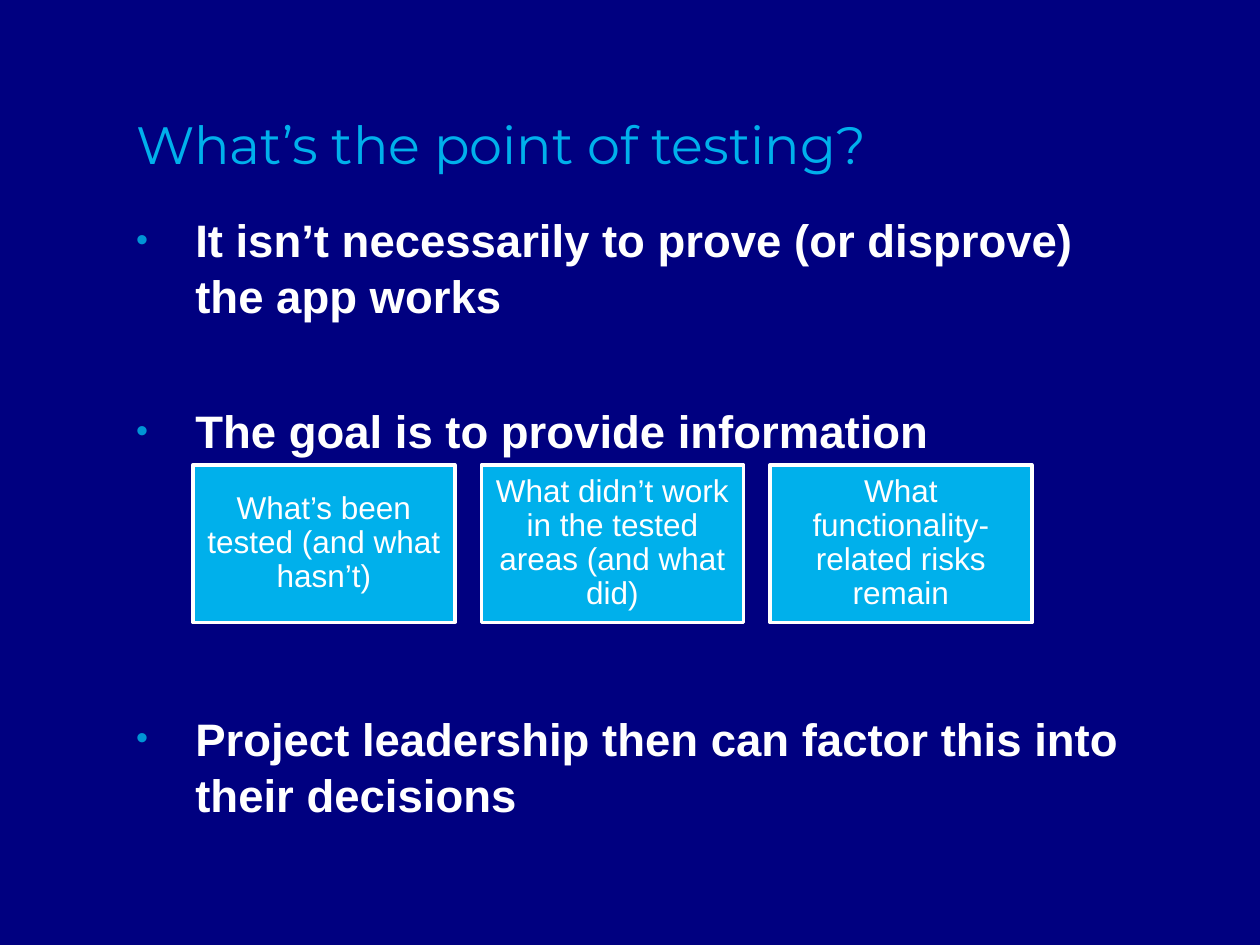
from lxml import etree
from pptx import Presentation
from pptx.dml.color import RGBColor
from pptx.enum.shapes import MSO_SHAPE
from pptx.enum.text import MSO_ANCHOR, MSO_AUTO_SIZE, PP_ALIGN
from pptx.oxml.ns import qn
from pptx.util import Inches, Pt

RECTANGLE = MSO_SHAPE.RECTANGLE
BOTTOM, MIDDLE, TOP = MSO_ANCHOR.BOTTOM, MSO_ANCHOR.MIDDLE, MSO_ANCHOR.TOP
LEFT, CENTER = PP_ALIGN.LEFT, PP_ALIGN.CENTER
NO_AUTOFIT = MSO_AUTO_SIZE.NONE

COLORS = {
    "background": "000080",
    "accent": "00B0EB",
    "bullet": "0095D5",
    "text": "FFFFFF",
}
TITLE_FONT = {"name": "Montserrat", "size": Pt(30), "bold": False}
BODY_FONT = {"name": "Arial", "size": Pt(26), "bold": True}
BOX_FONT = {"name": "Arial", "size": Pt(18), "bold": False}

TITLE = "What’s the point of testing?"
POINTS = [
    ("It isn’t necessarily to prove (or disprove) the app works", 0),
    ("The goal is to provide information", 45),
    ("Project leadership then can factor this into their decisions", 143.5),
]
FINDINGS = [
    "What’s been tested (and what hasn’t)",
    "What didn’t work in the tested areas (and what did)",
    "What functionality-related risks remain",
]


def color(name):
    """Return the named colour of the palette."""
    return RGBColor.from_string(COLORS[name])


def set_attributes(target, values):
    """Set every attribute in values on the target."""
    for name, value in values.items():
        setattr(target, name, value)


def place(shape, left, top, width, height):
    """Move and size a shape, in inches."""
    set_attributes(shape, {
        "left": Inches(left), "top": Inches(top),
        "width": Inches(width), "height": Inches(height),
    })


def format_frame(frame, anchor, horizontal, vertical):
    """Set the wrapping, anchor and margins of a text frame."""
    set_attributes(frame, {
        "word_wrap": True, "auto_size": NO_AUTOFIT, "vertical_anchor": anchor,
        "margin_left": Inches(horizontal), "margin_right": Inches(horizontal),
        "margin_top": Inches(vertical), "margin_bottom": Inches(vertical),
    })


def write(paragraph, text, font, color_name, **layout):
    """Fill a paragraph with formatted text."""
    paragraph.text = text
    set_attributes(paragraph, layout)
    set_attributes(paragraph.font, font)
    paragraph.font.color.rgb = color(color_name)


def add_bullet(paragraph):
    """Give a paragraph a small coloured bullet with a hanging indent."""
    properties = paragraph._p.get_or_add_pPr()
    properties.set("marL", str(Inches(0.47)))
    properties.set("indent", str(-Inches(0.47)))
    bullet_color = etree.SubElement(properties, qn("a:buClr"))
    etree.SubElement(bullet_color, qn("a:srgbClr"), val=COLORS["bullet"])
    etree.SubElement(properties, qn("a:buSzPct"), val="75000")
    etree.SubElement(properties, qn("a:buFont"), typeface="Arial")
    etree.SubElement(properties, qn("a:buChar"), char="•")


def fill_title(shape):
    """Place and write the slide title."""
    place(shape, 0.98, 0.14, 8.06, 1.3)
    format_frame(shape.text_frame, BOTTOM, 0.1, 0.05)
    write(shape.text_frame.paragraphs[0], TITLE, TITLE_FONT, "accent", alignment=LEFT)


def fill_points(shape):
    """Place and write the bulleted points."""
    place(shape, 0.98, 1.62, 8.06, 5.22)
    frame = shape.text_frame
    format_frame(frame, TOP, 0.1, 0.05)
    for index, (text, gap) in enumerate(POINTS):
        paragraph = frame.add_paragraph() if index else frame.paragraphs[0]
        add_bullet(paragraph)
        write(paragraph, text, BODY_FONT, "text", alignment=LEFT,
              line_spacing=1.03, space_before=Pt(gap), space_after=Pt(0))


def add_finding(slide, text, left):
    """Add one box that names a kind of information."""
    shape = slide.shapes.add_shape(
        RECTANGLE, Inches(left), Inches(3.69), Inches(2.08), Inches(1.25))
    shape.shadow.inherit = False
    shape.fill.solid()
    shape.fill.fore_color.rgb = color("accent")
    shape.line.color.rgb = color("text")
    shape.line.width = Pt(2)
    format_frame(shape.text_frame, MIDDLE, 0.07, 0.07)
    write(shape.text_frame.paragraphs[0], text, BOX_FONT, "text",
          alignment=CENTER, line_spacing=0.9)


def main():
    """Build and save the slide."""
    presentation = Presentation()
    presentation.slide_width = Inches(10)
    presentation.slide_height = Inches(7.5)
    slide = presentation.slides.add_slide(presentation.slide_layouts[1])
    slide.background.fill.solid()
    slide.background.fill.fore_color.rgb = color("background")
    fill_title(slide.shapes.title)
    fill_points(slide.placeholders[1])
    for index, text in enumerate(FINDINGS):
        add_finding(slide, text, 1.53 + index * 2.29)
    presentation.save("out.pptx")


if __name__ == "__main__":
    main()
